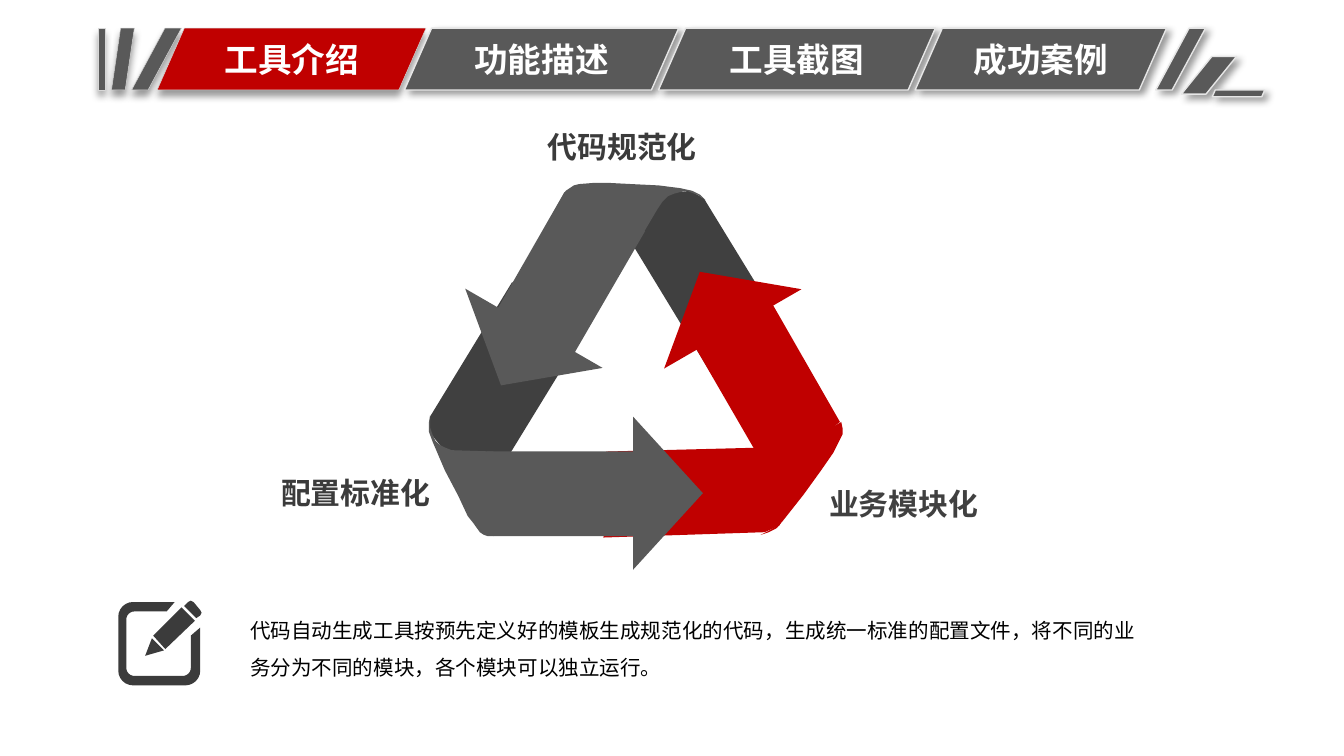
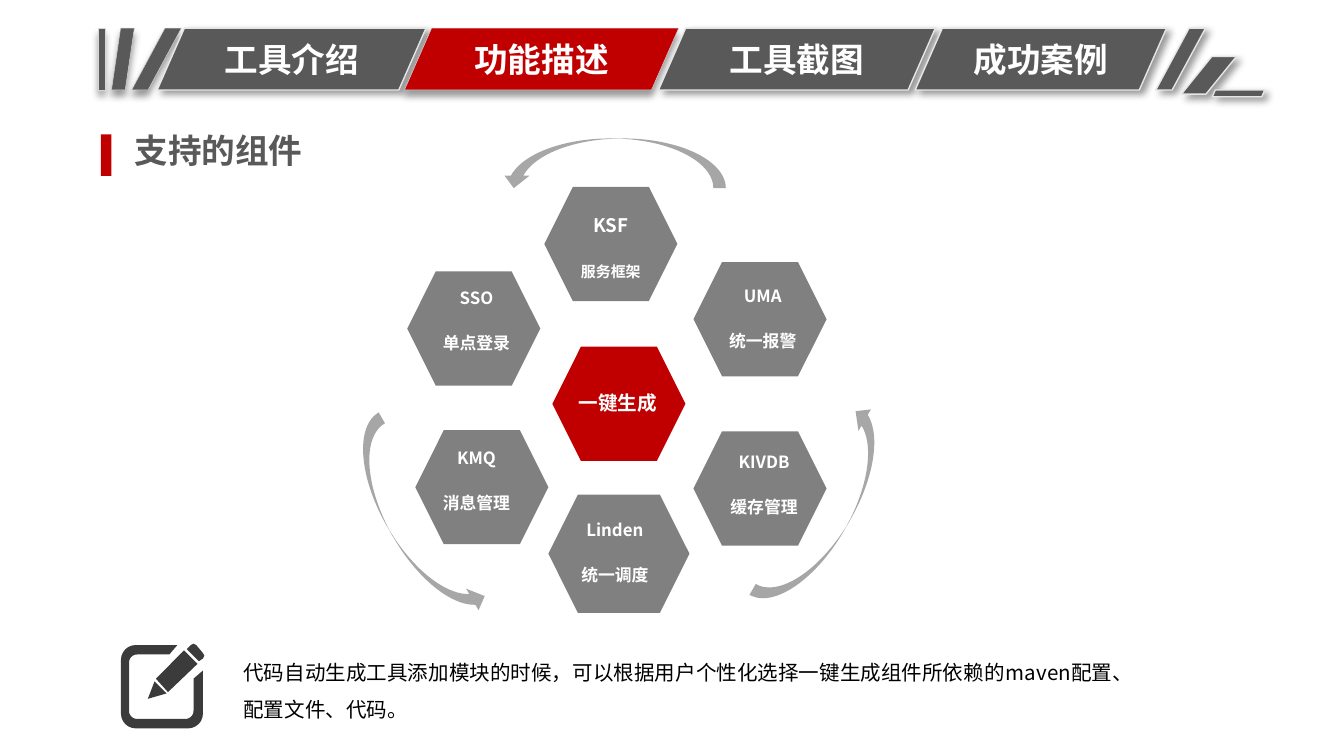
import math
from dataclasses import dataclass

import pptx
import pptx.dml.color
import pptx.enum.shapes
import pptx.enum.text
import pptx.oxml.ns
import pptx.shapes.autoshape
import pptx.shapes.base
import pptx.slide
import pptx.util
from lxml import etree

Inches = pptx.util.Inches
Shape = pptx.shapes.autoshape.Shape
Slide = pptx.slide.Slide
Kind = pptx.enum.shapes.MSO_SHAPE
Align = pptx.enum.text.PP_ALIGN
Anchor = pptx.enum.text.MSO_ANCHOR
qn = pptx.oxml.ns.qn
Point = tuple[float, float]

FONT = "Noto Sans CJK SC"
RED, SLATE, DARK, INK = "C00000", "595959", "404040", "3B3B3B"
GRAY, WHITE, BLACK, ARROW = "808080", "FFFFFF", "000000", "0D0D0D"
SNUG = (0.07, 0.04)


@dataclass(frozen=True)
class Tab:
    """A navigation tab in the top band."""
    text: str
    left: float
    width: float


@dataclass(frozen=True)
class Stripe:
    """A slanted ornament at one end of the band."""
    left: float
    top: float
    width: float
    height: float
    slant: float
    leading: bool = False


@dataclass(frozen=True)
class Ribbon:
    """A flat piece of the three-arrow loop."""
    color: str
    points: list[Point]


@dataclass(frozen=True)
class Arrowhead:
    """A rotated triangle that ends one arm of the loop."""
    color: str
    left: float
    top: float
    width: float
    height: float
    turn: float


@dataclass(frozen=True)
class Component:
    """A hexagon with a name and a role, written in a box at text_left, text_top."""
    name: str
    role: str
    left: float
    top: float
    text_left: float
    text_top: float
    width: float = 0.99
    height: float = 0.85


TABS = [Tab("工具介绍", 1.17, 2), Tab("功能描述", 3.01, 2.04),
        Tab("工具截图", 4.9, 2.06), Tab("成功案例", 6.81, 1.87)]
STRIPES = [
    Stripe(0.73, 0.21, 0.05, 0.46, 0, True), Stripe(0.83, 0.21, 0.17, 0.46, 0.4, True),
    Stripe(0.98, 0.21, 0.37, 0.46, 0.67, True), Stripe(8.6, 0.21, 0.37, 0.46, 0.67),
    Stripe(8.79, 0.42, 0.41, 0.28, 0.81), Stripe(9.02, 0.67, 0.39, 0.05, 0.44)]
LOOP = [
    Ribbon(DARK, [(4.38, 2.42), (3.59, 3.71), (3.2, 3.22), (3.2, 3.1), (3.81, 2.1)]),
    Ribbon(DARK, [(5.31, 2.81), (4.5, 1.48), (5.14, 1.42), (5.24, 1.48), (5.87, 2.51)]),
    Arrowhead(SLATE, 3.26, 2.41, 1.18, 0.49, 210),
    Ribbon(SLATE, [(4.18, 2.79), (4.8, 1.72), (4.5, 1.55), (4.2, 1.43), (3.61, 2.46)]),
    Ribbon(SLATE, [
        (4.76, 1.78), (4.19, 1.45), (4.21, 1.42), (4.24, 1.4), (4.27, 1.38), (4.31, 1.37),
        (4.43, 1.36), (4.51, 1.36), (4.7, 1.37), (4.9, 1.38), (5.06, 1.4), (5.15, 1.42),
        (5.21, 1.45), (5.25, 1.49), (5.19, 1.45), (5.11, 1.42), (5.06, 1.43), (5.02, 1.44),
        (4.97, 1.46), (4.93, 1.5), (4.89, 1.56)]),
    Ribbon(RED, [(4.51, 3.36), (6.07, 3.32), (5.8, 3.91), (5.69, 3.96), (4.49, 4)]),
    Arrowhead(RED, 4.74, 1.99, 1.18, 0.49, 330),
    Ribbon(RED, [(5.09, 2.44), (5.71, 3.51), (6, 3.34), (6.25, 3.14), (5.66, 2.11)]),
    Ribbon(RED, [
        (5.68, 3.47), (6.26, 3.14), (6.27, 3.19), (6.27, 3.23), (6.25, 3.27), (6.2, 3.37),
        (6.11, 3.5), (5.98, 3.68), (5.83, 3.87), (5.78, 3.93), (5.72, 3.96), (5.66, 3.98),
        (5.72, 3.95), (5.77, 3.92), (5.81, 3.86), (5.83, 3.81), (5.83, 3.77), (5.82, 3.72),
        (5.79, 3.66)]),
    Ribbon(SLATE, [
        (3.67, 3.36), (3.67, 3.99), (3.63, 3.99), (3.6, 3.98), (3.57, 3.96), (3.52, 3.89),
        (3.48, 3.84), (3.41, 3.69), (3.31, 3.5), (3.22, 3.29), (3.19, 3.21), (3.19, 3.15),
        (3.2, 3.09), (3.2, 3.18), (3.22, 3.24), (3.24, 3.28), (3.27, 3.31), (3.31, 3.33),
        (3.36, 3.35)]),
    Arrowhead(SLATE, 4.4, 3.41, 1.14, 0.52, 90),
    Ribbon(SLATE, [(4.93, 3.36), (3.62, 3.36), (3.62, 3.68), (3.67, 3.99), (4.93, 3.99)])]
COMPONENTS = [
    Component("SSO", "单点登录", 3.03, 2.02, 3.16, 2.09),
    Component("UMA", "统一报警", 5.16, 1.95, 5.29, 2.08),
    Component("Linden", "统一调度", 4.08, 3.68, 4.19, 3.82, 1.05, 0.88),
    Component("KMQ", "消息管理", 3.09, 3.2, 3.16, 3.28),
    Component("KIVDB", "缓存管理", 5.16, 3.21, 5.3, 3.31)]
ORBIT = [(3.73, 1.03, 180), (5.32, 3.61, 300), (2.24, 3.7, 60)]


def rgb(color: str) -> pptx.dml.color.RGBColor:
    """Turn a hex string into a colour."""
    return pptx.dml.color.RGBColor.from_string(color)


def paint(shape: Shape, color: str) -> Shape:
    """Give a shape a flat fill without line or shadow."""
    shape.shadow.inherit = False
    shape.fill.solid()
    shape.fill.fore_color.rgb = rgb(color)
    shape.line.fill.background()
    return shape


def draw(page: Slide, kind: Kind, left: float, top: float, width: float, height: float,
         color: str, turn: float = 0) -> Shape:
    """Draw a flat preset shape."""
    shape = page.shapes.add_shape(kind, Inches(left), Inches(top), Inches(width), Inches(height))
    shape.rotation = turn
    return paint(shape, color)


def outline(page: Slide, contours: list[list[Point]], color: str) -> Shape:
    """Draw closed contours as one flat freeform."""
    pens = [[(Inches(x), Inches(y)) for x, y in contour] for contour in contours]
    builder = page.shapes.build_freeform(*pens[0][0])
    for index, points in enumerate(pens):
        if index:
            builder.move_to(*points[0])
        builder.add_line_segments(points[1:], close=True)
    return paint(builder.convert_to_shape(), color)


def write(box: pptx.shapes.base.BaseShape, text: str, *, size: float, color: str = WHITE,
          bold: bool = True, align: Align = Align.LEFT, anchor: Anchor = Anchor.TOP,
          insets: tuple[float, float] = (0.1, 0.05), spacing: float = 1,
          before: float = 0) -> None:
    """Write one formatted paragraph after any text already in the box."""
    frame = box.text_frame
    frame.word_wrap = True
    frame.vertical_anchor = anchor
    frame.margin_left = frame.margin_right = Inches(insets[0])
    frame.margin_top = frame.margin_bottom = Inches(insets[1])
    para = frame.add_paragraph() if frame.paragraphs[0].runs else frame.paragraphs[0]
    para.alignment = align
    para.line_spacing = spacing
    para.space_before = pptx.util.Pt(before)
    span = para.add_run()
    span.text = text
    span.font.size = pptx.util.Pt(size)
    span.font.bold = bold
    span.font.color.rgb = rgb(color)
    span.font.name = FONT
    etree.SubElement(span.font._element, qn("a:ea"), typeface=FONT)


def add_box(page: Slide, left: float, top: float, width: float, height: float) -> Shape:
    """Add an empty text box."""
    return page.shapes.add_textbox(Inches(left), Inches(top), Inches(width), Inches(height))


def raise_up(shape: Shape, strong: bool) -> None:
    """Give a band shape its pale edge and soft shadow."""
    shape.line.color.rgb = rgb("D7D7D7" if strong else "E6E6E6")
    shape.line.width = pptx.util.Pt(0.25 if strong else 0.75)
    effects = shape._element.spPr.find(qn("a:effectLst"))
    shadow = etree.SubElement(
        effects, qn("a:outerShdw"), blurRad=str(pptx.util.Pt(4)), dist=str(pptx.util.Pt(3)),
        dir=str((90 if strong else 45) * 60000), algn="t", rotWithShape="0")
    tint = etree.SubElement(shadow, qn("a:srgbClr"), val=BLACK)
    etree.SubElement(tint, qn("a:alpha"), val="40000")


def fade(shape: Shape, percent: int) -> None:
    """Make a solid fill partly transparent."""
    tint = shape._element.spPr.find(qn("a:solidFill")).find(qn("a:srgbClr"))
    etree.SubElement(tint, qn("a:alpha"), val=str(percent * 1000))


def add_band(page: Slide, active: str) -> None:
    """Draw the navigation band with one active tab."""
    for stripe in STRIPES:
        kind = Kind.PARALLELOGRAM if stripe.slant else Kind.RECTANGLE
        shape = draw(page, kind, stripe.left, stripe.top, stripe.width, stripe.height, SLATE)
        if stripe.slant:
            shape.adjustments[0] = stripe.slant
        raise_up(shape, stripe.leading)
    for tab in TABS:
        chosen = tab.text == active
        shape = draw(page, Kind.PARALLELOGRAM, tab.left, 0.21, tab.width, 0.46,
                     RED if chosen else SLATE)
        shape.adjustments[0] = 0.44
        raise_up(shape, chosen)
        write(shape, tab.text, size=18, align=Align.CENTER, anchor=Anchor.MIDDLE,
              insets=(0, 0.05))


def arc(x: float, y: float, radius: float, start: int, sweep: int) -> list[Point]:
    """List points along a quarter circle."""
    angles = [math.radians(start + sweep * step / 6) for step in range(7)]
    return [(x + radius * math.cos(angle), y + radius * math.sin(angle)) for angle in angles]


def add_note(page: Slide, icon: Point, text_at: Point, text: str) -> None:
    """Draw the pencil icon and the remark beside it."""
    frame = [*arc(0.12, 0.14, 0.06, 270, -90), *arc(0.12, 0.5, 0.06, 180, -90),
             *arc(0.48, 0.5, 0.06, 90, -90), (0.54, 0.26), (0.61, 0.2),
             *arc(0.5, 0.52, 0.11, 0, 90), *arc(0.11, 0.52, 0.11, 90, 90),
             *arc(0.11, 0.12, 0.11, 180, 90), (0.42, 0.01), (0.36, 0.08)]
    cap = [(0.61, 0.11), (0.58, 0.13), (0.49, 0.04), (0.52, 0.01), (0.54, 0), (0.56, 0.01),
           (0.61, 0.07), (0.62, 0.09)]
    body = [(0.35, 0.36), (0.26, 0.26), (0.47, 0.05), (0.57, 0.15)]
    tip = [(0.34, 0.37), (0.2, 0.41), (0.25, 0.28)]
    contours = [[(icon[0] + x, icon[1] + y) for x, y in part]
                for part in (cap, body, tip, frame)]
    outline(page, contours, INK)
    write(add_box(page, *text_at, 6.79, 0.6), text, size=11, color=BLACK, bold=False,
          insets=SNUG, spacing=1.5)


def build_introduction(page: Slide) -> None:
    """Build the slide with the three-arrow loop."""
    add_band(page, "工具介绍")
    for text, left, top, width, align, color in [
            ("配置标准化", 1.72, 3.49, 1.55, Align.RIGHT, INK),
            ("业务模块化", 6.1, 3.57, 1.57, Align.LEFT, DARK),
            ("代码规范化", 3.58, 0.92, 2.1, Align.CENTER, INK)]:
        write(add_box(page, left, top, width, 0.35), text, size=16, color=color, align=align,
              insets=SNUG)
    for piece in LOOP:
        if isinstance(piece, Ribbon):
            outline(page, [piece.points], piece.color)
        else:
            draw(page, Kind.ISOSCELES_TRIANGLE, piece.left, piece.top, piece.width,
                 piece.height, piece.color, piece.turn)
    add_note(page, (0.88, 4.47), (1.79, 4.47),
             "代码自动生成工具按预先定义好的模板生成规范化的代码，生成统一标准的配置文件，"
             "将不同的业务分为不同的模块，各个模块可以独立运行。")


def build_functions(page: Slide) -> None:
    """Build the slide with the ring of components."""
    add_band(page, "功能描述")
    title = page.shapes.title
    title.left, title.top, title.width, title.height = map(Inches, (0.9, 0.92, 2.74, 0.4))
    title.text_frame.auto_size = pptx.enum.text.MSO_AUTO_SIZE.NONE
    write(title, "支持的组件", size=18, color=SLATE)
    draw(page, Kind.RECTANGLE, 0.75, 1, 0.08, 0.31, RED)
    for left, top, turn in ORBIT:
        fade(draw(page, Kind.CURVED_UP_ARROW, left, top, 1.67, 0.37, ARROW, turn), 36)
    for item in COMPONENTS:
        draw(page, Kind.HEXAGON, item.left, item.top, item.width, item.height, GRAY)
        box = add_box(page, item.text_left, item.text_top, 0.77, 0.48)
        write(box, item.name, size=9, align=Align.CENTER)
        write(box, item.role, size=9, align=Align.CENTER, spacing=1.2, before=11)
    service = draw(page, Kind.HEXAGON, 4.05, 1.39, 0.99, 0.85, GRAY)
    centred = {"align": Align.CENTER, "anchor": Anchor.MIDDLE}
    write(service, "KSF", size=10, **centred)
    write(service, "服务框架", size=8, spacing=1.2, before=12.5, **centred)
    service.text_frame.margin_top = Inches(0.1)
    draw(page, Kind.HEXAGON, 4.11, 2.58, 0.99, 0.85, RED)
    write(add_box(page, 4.21, 2.86, 0.84, 0.29), "一键生成", size=10.5)
    add_note(page, (0.9, 4.79), (1.74, 4.78),
             "代码自动生成工具添加模块的时候，可以根据用户个性化选择一键生成组件所依赖的"
             "maven配置、配置文件、代码。")


def main() -> None:
    """Build and save the deck."""
    deck = pptx.Presentation()
    deck.slide_width = Inches(10)
    deck.slide_height = deck.slide_width * 9 // 16
    title_only, blank = deck.slide_layouts[5], deck.slide_layouts[6]
    build_introduction(deck.slides.add_slide(blank))
    build_functions(deck.slides.add_slide(title_only))
    deck.save("out.pptx")


if __name__ == "__main__":
    main()
